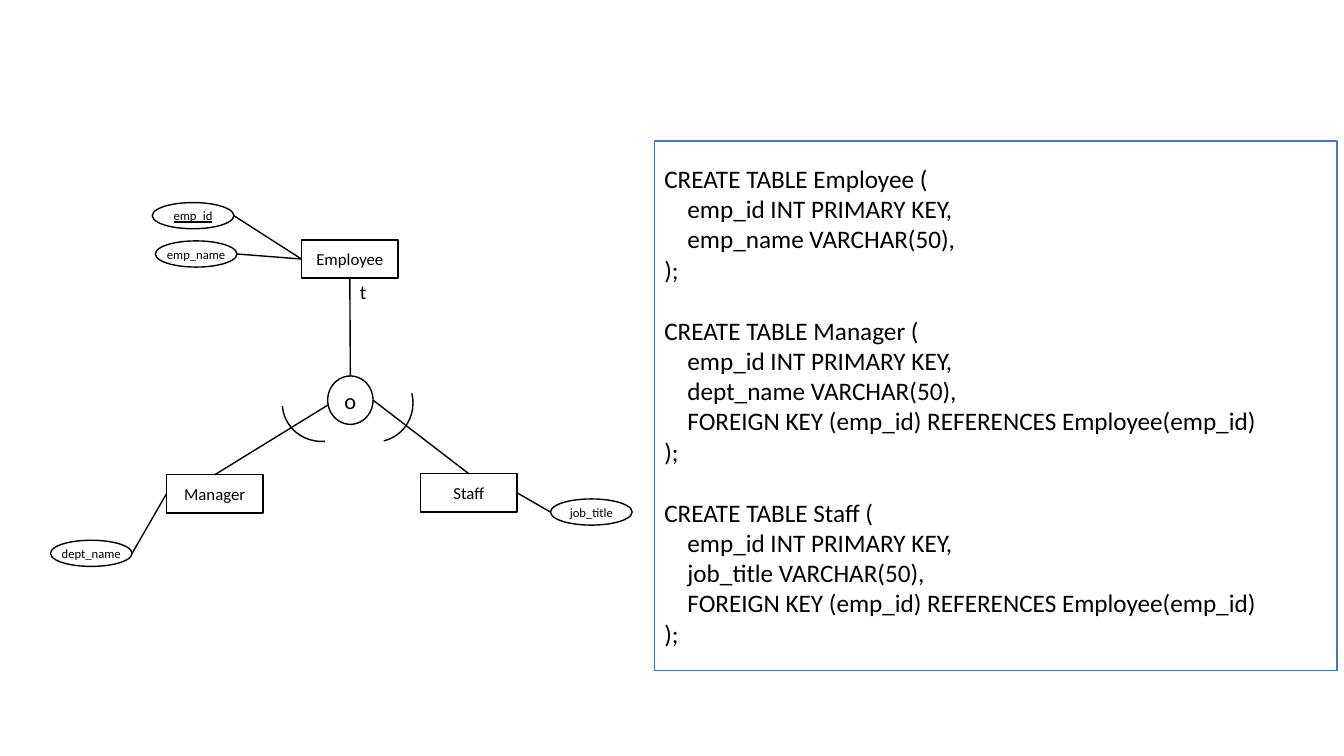
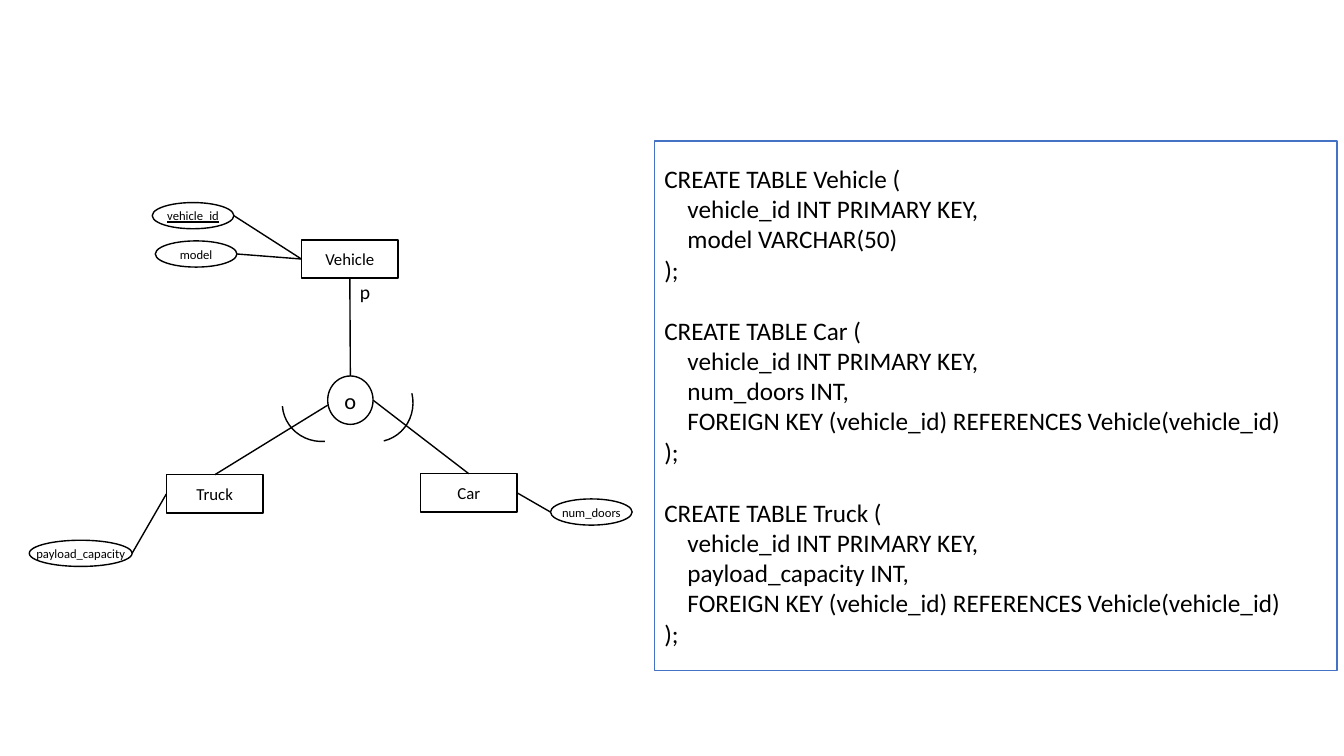
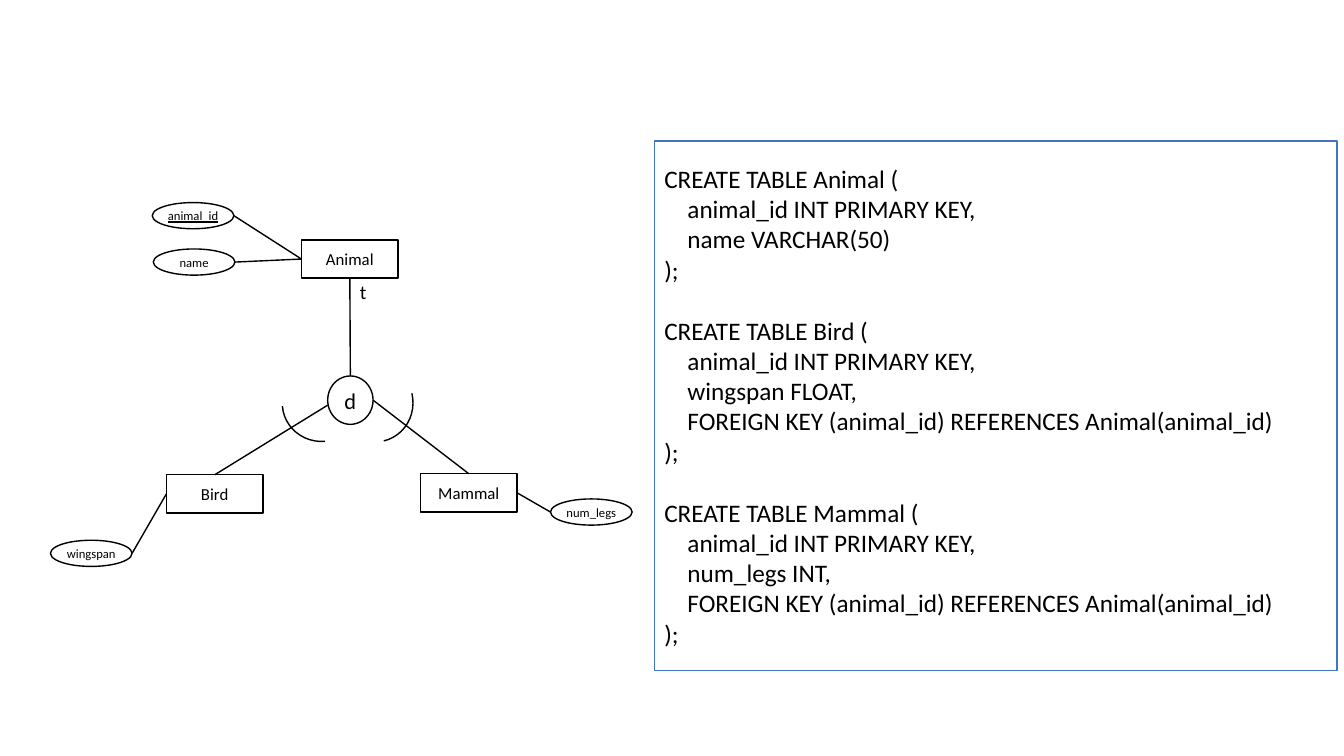
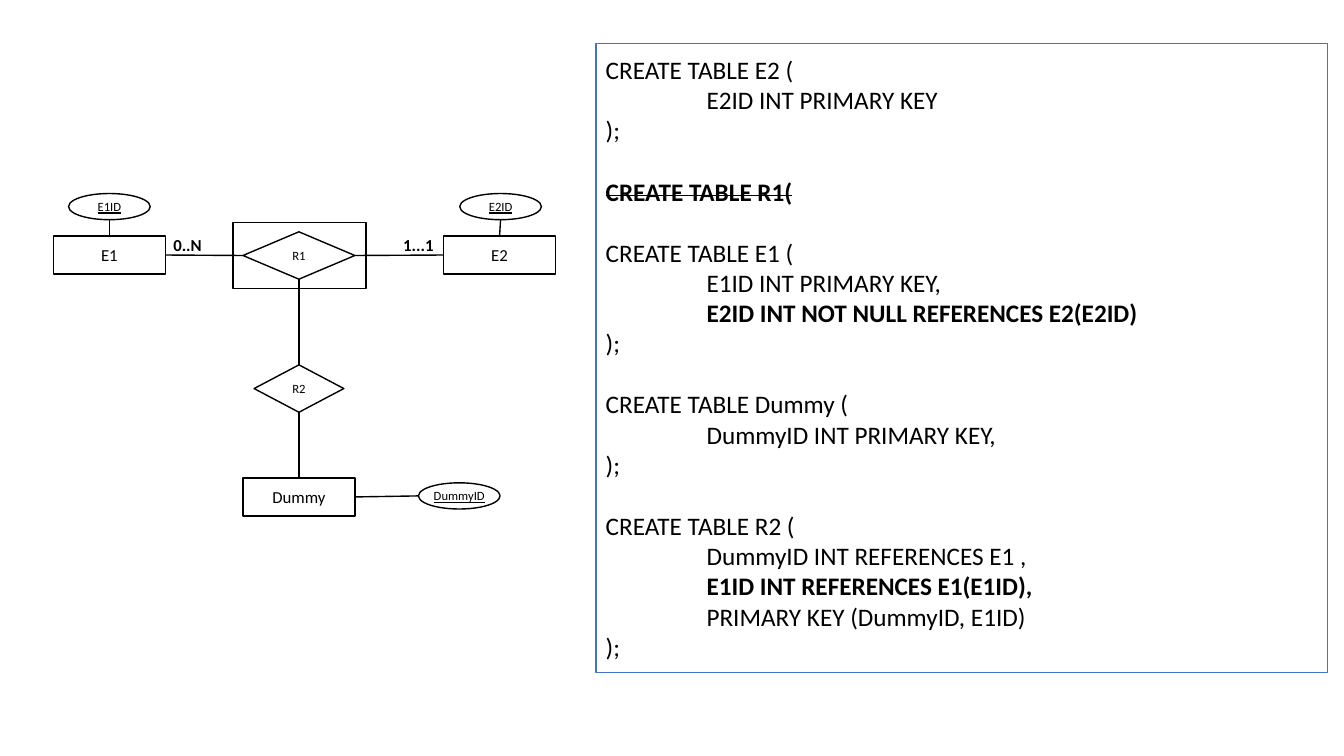
from dataclasses import dataclass

from lxml.etree import SubElement
from pptx import Presentation
from pptx.dml.color import RGBColor
from pptx.enum.shapes import MSO_CONNECTOR, MSO_SHAPE
from pptx.enum.text import MSO_ANCHOR, MSO_AUTO_SIZE, PP_ALIGN
from pptx.oxml.ns import qn
from pptx.util import Inches, Pt


@dataclass(frozen=True)
class Theme:
    font: str = "Calibri"
    ink: RGBColor = RGBColor(0, 0, 0)
    paper: RGBColor = RGBColor(255, 255, 255)
    accent: RGBColor = RGBColor(0x44, 0x72, 0xC4)
    line: float = 1
    attribute: int = 9
    entity: int = 12
    marker: int = 14
    symbol: int = 16
    code: int = 18
    statement_gap: int = 22


@dataclass(frozen=True)
class CodeLine:
    text: str
    indented: bool = False
    bold: bool = False
    strike: bool = False
    starts: bool = False


THEME = Theme()
ATTRIBUTE_SIZE = (0.81, 0.26)
SUBTYPE_SIZE = (0.96, 0.38)
ENTITY_SIZE = (1.11, 0.38)


# Text
def write(p, text, size, bold=False, underline=False, strike=False):
    r = p.add_run()
    r.text = text
    r.font.name = THEME.font
    r.font.size = Pt(size)
    r.font.color.rgb = THEME.ink
    r.font.bold = bold
    r.font.underline = underline
    if strike:
        r.font._element.set("strike", "sngStrike")


def label(slide, text, left, top, width, height, size, bold=False):
    box = slide.shapes.add_textbox(*map(Inches, (left, top, width, height)))
    tf = box.text_frame
    tf.word_wrap = False
    tf.auto_size = MSO_AUTO_SIZE.SHAPE_TO_FIT_TEXT
    write(tf.paragraphs[0], text, size, bold=bold)


# Diagram parts
def outline(shapes, kind, left, top, width, height, color=THEME.ink, filled=True):
    sp = shapes.add_shape(kind, *map(Inches, (left, top, width, height)))
    sp.shadow.inherit = False
    if filled:
        sp.fill.solid()
        sp.fill.fore_color.rgb = THEME.paper
    else:
        sp.fill.background()
    sp.line.color.rgb = color
    sp.line.width = Pt(THEME.line)
    return sp


def node(shapes, kind, text, left, top, width, height, size, underline=False):
    sp = outline(shapes, kind, left, top, width, height)
    tf = sp.text_frame
    tf.word_wrap = False
    tf.vertical_anchor = MSO_ANCHOR.MIDDLE
    p = tf.paragraphs[0]
    p.alignment = PP_ALIGN.CENTER
    write(p, text, size, underline=underline)
    return sp


def entity(slide, text, left, top, size=SUBTYPE_SIZE):
    return node(slide.shapes, MSO_SHAPE.RECTANGLE, text, left, top, *size, THEME.entity)


def attribute(slide, text, left, top, width=ATTRIBUTE_SIZE[0], key=False):
    return node(slide.shapes, MSO_SHAPE.OVAL, text, left, top, width,
                ATTRIBUTE_SIZE[1], THEME.attribute, underline=key)


def relationship(shapes, text, left, top, width):
    return node(shapes, MSO_SHAPE.DIAMOND, text, left, top, width, 0.47, THEME.attribute)


def arc(slide, left, top, rotation):
    sp = outline(slide.shapes, MSO_SHAPE.ARC, left, top, 0.79, 0.76, filled=False)
    sp.rotation = rotation


def side(sp, name):
    """Middle of one side of a shape."""
    fx, fy = {"top": (0.5, 0), "left": (0, 0.5),
              "bottom": (0.5, 1), "right": (1, 0.5)}[name]
    return int(sp.left + fx * sp.width), int(sp.top + fy * sp.height)


def connect(slide, start, end):
    line = slide.shapes.add_connector(MSO_CONNECTOR.STRAIGHT, *start, *end)
    line.line.color.rgb = THEME.ink
    line.line.width = Pt(THEME.line)
    SubElement(line._element.spPr, qn("a:effectLst"))


# SQL panel
def create_table(name, *columns, bold=()):
    return [CodeLine(f"CREATE TABLE {name} (", starts=True),
            *(CodeLine(c, indented=True, bold=c in bold) for c in columns),
            CodeLine(");")]


def code_panel(slide, lines, left, top, width, height, indent):
    sp = outline(slide.shapes, MSO_SHAPE.RECTANGLE, left, top, width, height, THEME.accent)
    tf = sp.text_frame
    tf.word_wrap = True
    tf.vertical_anchor = MSO_ANCHOR.MIDDLE
    for i, line in enumerate(lines):
        p = tf.add_paragraph() if i else tf.paragraphs[0]
        p.alignment = PP_ALIGN.LEFT
        if i and line.starts:
            p.space_before = Pt(THEME.statement_gap)
        if line.indented:
            p._p.get_or_add_pPr().set("marL", str(Inches(indent)))
        write(p, line.text, THEME.code, bold=line.bold, strike=line.strike)


# Slides
def specialization_slide(prs, parent, key, field, left_child, right_child, symbol,
                         marker, code, field_at=(1.54, 2.39), left_width=0.81):
    """Supertype with two subtypes; each child is (entity, attribute)."""
    slide = prs.slides.add_slide(prs.slide_layouts[6])
    top = entity(slide, parent, 2.99, 2.38)
    left = entity(slide, left_child[0], 1.65, 4.71)
    right = entity(slide, right_child[0], 4.17, 4.7)
    circle = node(slide.shapes, MSO_SHAPE.OVAL, symbol, 3.25, 3.73, 0.45, 0.48,
                  THEME.symbol)
    connect(slide, side(circle, "top"), side(top, "bottom"))
    connect(slide, side(left, "top"), (Inches(3.25), Inches(4.02)))
    connect(slide, side(right, "top"), side(circle, "right"))
    arc(slide, 2.8, 3.62, 175.7)
    arc(slide, 3.32, 3.61, 76.6)
    label(slide, marker, 3.47, 2.73, 0.27 if marker == "t" else 0.31, 0.34, THEME.marker)

    # Attributes
    key_oval = attribute(slide, key, 1.51, 2.01, key=True)
    field_oval = attribute(slide, field, *field_at)
    left_oval = attribute(slide, left_child[1], 1.31 - left_width, 5.36, left_width)
    right_oval = attribute(slide, right_child[1], 5.46, 4.95)
    for owner, oval in ((top, key_oval), (top, field_oval), (left, left_oval)):
        connect(slide, side(owner, "left"), side(oval, "right"))
    connect(slide, side(right, "right"), side(right_oval, "left"))

    # Tables: the supertype, then each subtype with its foreign key
    parent_field, *children = code
    key_column = f"{key} INT PRIMARY KEY,"
    lines = create_table(parent, key_column, parent_field)
    for name, column in children:
        lines += create_table(name, key_column, column,
                              f"FOREIGN KEY ({key}) REFERENCES {parent}({key})")
    code_panel(slide, lines, 6.49, 1.4, 6.77, 5.25, 0.23)


def aggregation_slide(prs):
    slide = prs.slides.add_slide(prs.slide_layouts[6])
    e1 = entity(slide, "E1", 0.53, 2.34, ENTITY_SIZE)
    e2 = entity(slide, "E2", 4.4, 2.34, ENTITY_SIZE)
    dummy = entity(slide, "Dummy", 2.41, 4.74, ENTITY_SIZE)

    # Relationships
    group = slide.shapes.add_group_shape()
    outline(group.shapes, MSO_SHAPE.RECTANGLE, 2.31, 2.21, 1.32, 0.65)
    r1 = relationship(group.shapes, "R1", 2.41, 2.3, 1.11)
    r2 = relationship(slide.shapes, "R2", 2.52, 3.62, 0.89)
    connect(slide, side(r1, "left"), side(e1, "right"))
    connect(slide, side(e2, "left"), side(r1, "right"))
    connect(slide, side(r2, "top"), side(r1, "bottom"))
    connect(slide, side(dummy, "top"), side(r2, "bottom"))
    label(slide, "0..N", 1.62, 2.28, 0.49, 0.3, THEME.entity, bold=True)
    label(slide, "1...1", 3.9, 2.28, 0.51, 0.3, THEME.entity, bold=True)

    # Keys
    for owner, text, left in ((e1, "E1ID", 0.68), (e2, "E2ID", 4.56)):
        oval = attribute(slide, text, left, 1.92, key=True)
        connect(slide, side(oval, "bottom"), side(owner, "top"))
    dummy_key = attribute(slide, "DummyID", 4.15, 4.79, key=True)
    connect(slide, side(dummy_key, "left"), side(dummy, "right"))

    # Tables
    e2_reference = "E2ID INT NOT NULL REFERENCES E2(E2ID)"
    e1_reference = "E1ID INT REFERENCES E1(E1ID),"
    lines = [
        *create_table("E2", "E2ID INT PRIMARY KEY"),
        CodeLine("CREATE TABLE R1(", bold=True, strike=True, starts=True),
        *create_table("E1", "E1ID INT PRIMARY KEY,", e2_reference, bold=(e2_reference,)),
        *create_table("Dummy", "DummyID INT PRIMARY KEY,"),
        *create_table("R2", "DummyID INT REFERENCES E1 ,", e1_reference,
                      "PRIMARY KEY (DummyID, E1ID)", bold=(e1_reference,)),
    ]
    code_panel(slide, lines, 5.91, 0.43, 7.26, 6.24, 1)


def main():
    prs = Presentation()
    prs.slide_width, prs.slide_height = Inches(13.33), Inches(7.5)
    specialization_slide(
        prs, "Employee", "emp_id", "emp_name",
        ("Manager", "dept_name"), ("Staff", "job_title"), "o", "t",
        ("emp_name VARCHAR(50),", ("Manager", "dept_name VARCHAR(50),"),
         ("Staff", "job_title VARCHAR(50),")))
    specialization_slide(
        prs, "Vehicle", "vehicle_id", "model",
        ("Truck", "payload_capacity"), ("Car", "num_doors"), "o", "p",
        ("model VARCHAR(50)", ("Car", "num_doors INT,"),
         ("Truck", "payload_capacity INT,")),
        left_width=1.02)
    specialization_slide(
        prs, "Animal", "animal_id", "name",
        ("Bird", "wingspan"), ("Mammal", "num_legs"), "d", "t",
        ("name VARCHAR(50)", ("Bird", "wingspan FLOAT,"), ("Mammal", "num_legs INT,")),
        field_at=(1.52, 2.47))
    aggregation_slide(prs)
    prs.save("out.pptx")


if __name__ == "__main__":
    main()
